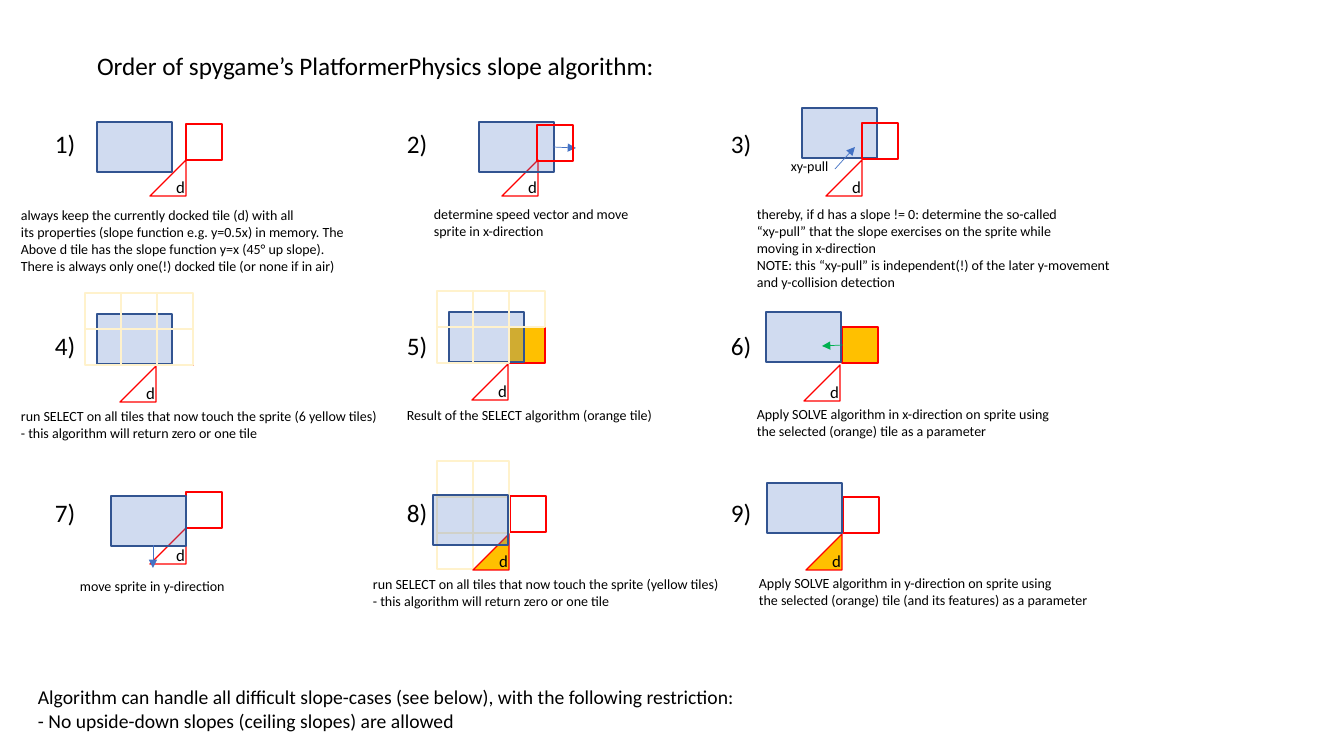
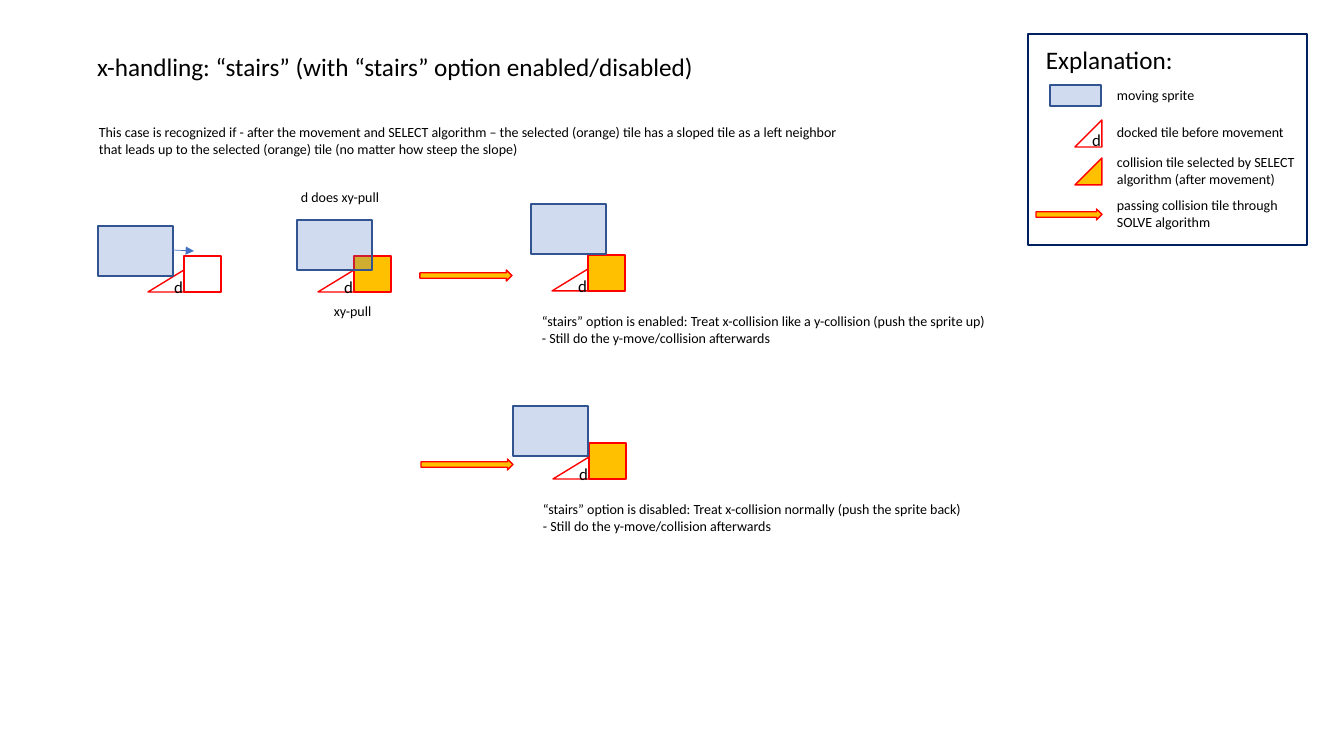
"""Build two slides that explain how a sprite moves over sloped tiles."""
import dataclasses
import itertools
import typing

import lxml.etree
import pptx
import pptx.dml.color
import pptx.enum.shapes
import pptx.enum.text
import pptx.oxml.ns
import pptx.slide
import pptx.util

SCALE = 914400 / 100.8
FONT = "Calibri"
BLACK, RED, BLUE, GREEN = "000000", "FF0000", "4472C4", "00B050"
GOLD, CREAM, NAVY, EDGE = "FFC000", "FFF2CC", "002060", "325491"
FORM = pptx.enum.shapes.MSO_SHAPE
SIDE = 36


class Look(typing.NamedTuple):
    """Style and usual size of one kind of shape."""
    form: FORM
    line: str
    fill: str = ""
    alpha: int = 100
    wide: int = SIDE
    high: int = SIDE
    weight: float = 1


LOOKS = {
    "sprite": Look(FORM.RECTANGLE, EDGE, BLUE, 25, 75, 50),
    "tile": Look(FORM.RECTANGLE, RED),
    "bold": Look(FORM.RECTANGLE, RED, weight=1.5),
    "touch": Look(FORM.RECTANGLE, CREAM),
    "pick": Look(FORM.RECTANGLE, CREAM, GOLD),
    "hit": Look(FORM.RECTANGLE, RED, GOLD, wide=37),
    "slope": Look(FORM.ISOSCELES_TRIANGLE, RED),
    "ramp": Look(FORM.ISOSCELES_TRIANGLE, RED, high=22),
    "hot": Look(FORM.ISOSCELES_TRIANGLE, RED, GOLD),
    "pass": Look(FORM.RIGHT_ARROW, RED, GOLD, wide=92, high=11),
    "frame": Look(FORM.RECTANGLE, NAVY),
}


@dataclasses.dataclass
class Box:
    """One shape, named by its look."""
    look: str
    left: int
    top: int
    wide: int = 0
    high: int = 0
    text: str = ""


@dataclasses.dataclass
class Note:
    """One text block, a line per paragraph."""
    text: str
    left: int
    top: int
    wide: int
    size: int = 10


@dataclasses.dataclass
class Arrow:
    """One thin line with an arrowhead at its end."""
    left: int
    top: int
    right: int
    low: int
    hue: str = BLUE


Part = Box | Note | Arrow


def px(size: float) -> pptx.util.Emu:
    """Turn pixels into EMU."""
    return pptx.util.Emu(round(size * SCALE))


def tint(code: str) -> pptx.dml.color.RGBColor:
    """Turn a hex string into a colour."""
    return pptx.dml.color.RGBColor.from_string(code)


def put(item: typing.Any, vals: dict[str, typing.Any]) -> None:
    """Set each named value on an object."""
    for name, val in vals.items():
        setattr(item, name, val)


def style(font: typing.Any, size: int) -> None:
    """Give a font the shared face and colour."""
    put(font, {"name": FONT, "size": pptx.util.Pt(size), "bold": False})
    font.color.rgb = tint(BLACK)


def write(shape: typing.Any, note: Note) -> None:
    """Place a text shape and fill in its lines."""
    lines = note.text.split("\n")
    high = 10 + 1.7 * note.size * len(lines)
    frame = shape.text_frame
    frame.text = note.text
    put(frame, {
        "word_wrap": False,
        "vertical_anchor": pptx.enum.text.MSO_ANCHOR.TOP,
        "auto_size": pptx.enum.text.MSO_AUTO_SIZE.SHAPE_TO_FIT_TEXT,
    })
    for para in frame.paragraphs:
        para.alignment = pptx.enum.text.PP_ALIGN.LEFT
        style(para.runs[0].font, note.size)
    put(shape, {"left": px(note.left), "top": px(note.top),
                "width": px(note.wide), "height": px(high)})


def draw_box(slide: pptx.slide.Slide, box: Box) -> None:
    """Draw one shape in its look."""
    look = LOOKS[box.look]
    shape = slide.shapes.add_shape(
        look.form, px(box.left), px(box.top),
        px(box.wide or look.wide), px(box.high or look.high))
    shape.shadow.inherit = False
    put(shape.line, {"width": pptx.util.Pt(look.weight)})
    shape.line.color.rgb = tint(look.line)
    if look.form == FORM.ISOSCELES_TRIANGLE:
        shape.adjustments[0] = 1
    if look.fill:
        shape.fill.solid()
        shape.fill.fore_color.rgb = tint(look.fill)
    else:
        shape.fill.background()
    if look.alpha < 100:
        qn = pptx.oxml.ns.qn
        hue = shape.element.spPr.find(qn("a:solidFill")).find(qn("a:srgbClr"))
        lxml.etree.SubElement(hue, qn("a:alpha"), val=str(look.alpha * 1000))
    if box.text:
        shape.text_frame.text = box.text
        style(shape.text_frame.paragraphs[0].runs[0].font, 12)


def draw_arrow(slide: pptx.slide.Slide, arrow: Arrow) -> None:
    """Draw one line with its head."""
    qn = pptx.oxml.ns.qn
    line = slide.shapes.add_connector(
        pptx.enum.shapes.MSO_CONNECTOR.STRAIGHT, px(arrow.left),
        px(arrow.top), px(arrow.right), px(arrow.low))
    line.line.width = pptx.util.Pt(0.5)
    line.line.color.rgb = tint(arrow.hue)
    props = line.element.spPr
    lxml.etree.SubElement(props.find(qn("a:ln")), qn("a:tailEnd"),
                          type="triangle")
    lxml.etree.SubElement(props, qn("a:effectLst"))


def draw_note(slide: pptx.slide.Slide, note: Note) -> None:
    """Draw one text block."""
    write(slide.shapes.add_textbox(0, 0, 0, 0), note)


def build(deck: typing.Any, title: Note, parts: list[Part]) -> None:
    """Add a slide with its title and parts."""
    slide = deck.slides.add_slide(deck.slide_layouts[5])
    write(slide.shapes.title, title)
    draws = {Box: draw_box, Note: draw_note, Arrow: draw_arrow}
    for part in parts:
        draws[type(part)](slide, part)


def dock(left: int, top: int, look: str = "slope", wide: int = 0) -> Box:
    """Give the docked tile with its letter."""
    return Box(look, left, top, wide, wide, "d")


def grid(left: int, top: int, cols: int, rows: int) -> list[Part]:
    """Give a block of touched tiles."""
    return [Box("touch", left + SIDE * col, top + SIDE * row)
            for row, col in itertools.product(range(rows), range(cols))]


def stairs(tile: str, left: int, top: int, over: int, rise: int) -> list[Part]:
    """Give a ramp beside a tile, with the sprite set off from it."""
    return [Box(tile, left + 36, top - 14, 37), dock(left, top, "ramp"),
            Box("sprite", left - over, top - rise)]


STEPS: list[Part] = [
    Note(f"{3 * row + col + 1})", left, top, 41, 18)
    for (row, top), (col, left) in itertools.product(
        enumerate((123, 325, 492)), enumerate((45, 397, 721)))]

TAKE = "- this algorithm will return zero or one tile"
ORDER: list[Part] = [
    *STEPS,
    dock(150, 160), Box("sprite", 97, 122), Box("tile", 186, 124),
    Note("always keep the currently docked tile (d) with all\n"
         "its properties (slope function e.g. y=0.5x) in memory. The\n"
         "Above d tile has the slope function y=x (45° up slope).\n"
         "There is always only one(!) docked tile (or none if in air)",
         11, 202, 349),
    dock(502, 160), Box("sprite", 479, 122), Arrow(553, 147, 576, 148),
    Box("tile", 537, 125),
    Note("determine speed vector and move\nsprite in x-direction",
         424, 201, 218),
    dock(826, 160), Box("sprite", 802, 108), Arrow(835, 169, 855, 147),
    Box("tile", 862, 123), Note("xy-pull", 781, 153, 58),
    Note("thereby, if d has a slope != 0: determine the so-called\n"
         "“xy-pull” that the slope exercises on the sprite while\n"
         "moving in x-direction\n"
         "NOTE: this “xy-pull” is independent(!) of the later y-movement\n"
         "and y-collision detection", 747, 201, 379),
    Box("bold", 157, 329), Box("sprite", 97, 314), dock(120, 366),
    *grid(85, 293, 3, 2),
    Note("run SELECT on all tiles that now touch the sprite "
         f"(6 yellow tiles)\n{TAKE}", 11, 403, 381),
    Box("pick", 509, 327), Box("tile", 509, 327), dock(472, 364),
    Box("sprite", 449, 312), *grid(437, 291, 3, 1), *grid(437, 327, 2, 1),
    Note("Result of the SELECT algorithm (orange tile)", 397, 402, 276),
    Box("pick", 842, 327), Box("tile", 842, 327), dock(804, 365),
    Box("sprite", 766, 312), Arrow(843, 345, 822, 346, GREEN),
    Note("Apply SOLVE algorithm in x-direction on sprite using\n"
         "the selected (orange) tile as a parameter", 747, 401, 322),
    dock(150, 528), Box("tile", 186, 492), Box("sprite", 111, 496),
    Arrow(153, 545, 153, 568),
    Note("move sprite in y-direction", 70, 573, 167),
    Box("tile", 510, 496), *grid(437, 461, 2, 3), dock(473, 534, "hot"),
    Box("sprite", 433, 495),
    Note("run SELECT on all tiles that now touch the sprite "
         f"(yellow tiles)\n{TAKE}", 363, 571, 371),
    Box("tile", 843, 497), dock(806, 534, "hot"), Box("sprite", 767, 483),
    Note("Apply SOLVE algorithm in y-direction on sprite using\n"
         "the selected (orange) tile (and its features) as a parameter",
         749, 570, 355),
    Note("Algorithm can handle all difficult slope-cases (see below), "
         "with the following restriction:\n"
         "- No upside-down slopes (ceiling slopes) are allowed",
         28, 680, 724, 14),
]

AFTER = "- Still do the y-move/collision afterwards"
LEGEND: list[Part] = [
    Box("frame", 1028, 34, 279, 211),
    Note("Explanation:", 1036, 39, 148, 18),
    Box("sprite", 1050, 85, 51, 21),
    Note("moving sprite", 1107, 82, 99),
    dock(1075, 120, wide=27),
    Note("docked tile before movement", 1107, 119, 191),
    Box("hot", 1075, 158, 27, 27),
    Note("collision tile selected by SELECT\nalgorithm (after movement)",
         1107, 149, 201),
    Box("pass", 1036, 209, 66),
    Note("passing collision tile through\nSOLVE algorithm", 1107, 192, 183),
]
CASE: list[Part] = [
    *LEGEND,
    Note("This case is recognized if - after the movement and SELECT "
         "algorithm – the selected (orange) tile has a sloped tile as a "
         "left neighbor\nthat leads up to the selected (orange) tile "
         "(no matter how steep the slope)", 89, 119, 769),
    *stairs("tile", 148, 270, 50, 44), Arrow(172, 250, 194, 251),
    *stairs("hit", 318, 270, 21, 50),
    Note("d does xy-pull", 291, 184, 100), Note("xy-pull", 324, 298, 58),
    Box("pass", 420, 270), *stairs("hit", 552, 269, 21, 65),
    Note("“stairs” option is enabled: Treat x-collision like a y-collision "
         f"(push the sprite up)\n{AFTER}", 532, 308, 471),
    Box("pass", 421, 459), *stairs("hit", 553, 457, 40, 51),
    Note("“stairs” option is disabled: Treat x-collision normally "
         f"(push the sprite back)\n{AFTER}", 533, 496, 460),
]

show = pptx.Presentation()
put(show, {"slide_width": px(1344), "slide_height": px(756)})
build(show, Note("Order of spygame’s PlatformerPhysics slope algorithm:",
                 87, 45, 584, 18), ORDER)
build(show, Note("x-handling: “stairs” (with “stairs” option "
                 "enabled/disabled)", 87, 46, 621, 18), CASE)
show.save("out.pptx")
